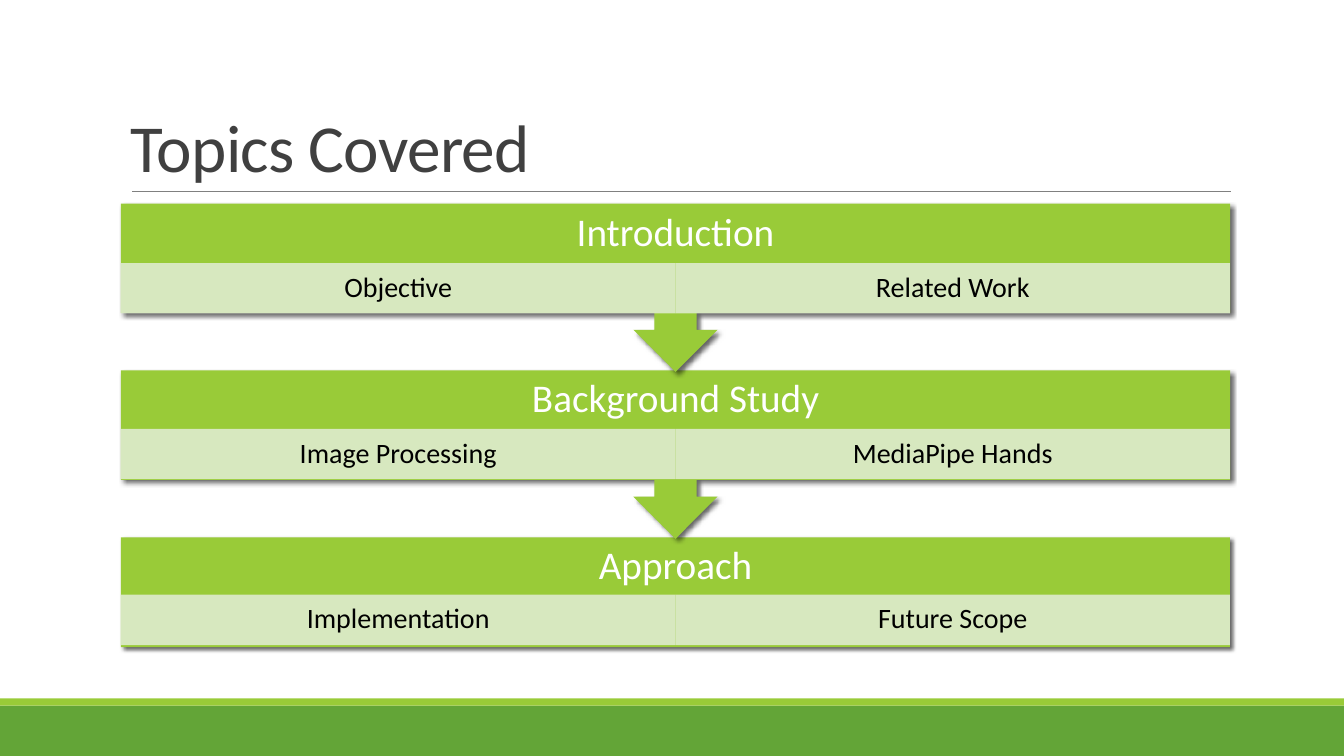
from lxml import etree
from pptx import Presentation
from pptx.dml.color import RGBColor
from pptx.enum.shapes import MSO_CONNECTOR, MSO_SHAPE
from pptx.enum.text import MSO_ANCHOR, PP_ALIGN
from pptx.oxml.ns import qn
from pptx.util import Inches, Pt

TITLE = "Topics Covered"
TOPICS = [
    ("Introduction", ["Objective", "Related Work"]),
    ("Background Study", ["Image Processing", "MediaPipe Hands"]),
    ("Approach", ["Implementation", "Future Scope"]),
]

GREEN = RGBColor(0x63, 0xA5, 0x37)
LIME = RGBColor(0x99, 0xCB, 0x38)
PALE = RGBColor(0xDE, 0xEC, 0xCE)
GREY = RGBColor(0x80, 0x80, 0x80)
DARK = RGBColor(0x40, 0x40, 0x40)
WHITE = RGBColor(0xFF, 0xFF, 0xFF)
BLACK = RGBColor(0, 0, 0)
RECT = MSO_SHAPE.RECTANGLE
CALLOUT = MSO_SHAPE.DOWN_ARROW_CALLOUT
STRAIGHT = MSO_CONNECTOR.STRAIGHT
MIDDLE, BOTTOM = MSO_ANCHOR.MIDDLE, MSO_ANCHOR.BOTTOM
CENTER, LEFT = PP_ALIGN.CENTER, PP_ALIGN.LEFT

SLIDE_W, SLIDE_H = 13.33, 7.5
MARGIN, WIDTH = 1.2, 11
FIRST_TOP, LAST_TOP = 2.02, 5.33
FIRST_TINT, LAST_TINT = 2.61, 5.9
HEAD_H, TINT_H, BLOCK_H, CALLOUT_H = 0.59, 0.5, 1.09, 1.67


def add_block(kind, x, y, w, h, color):
    sp = slide.shapes.add_shape(kind, Inches(x), Inches(y), Inches(w), Inches(h))
    sp.shadow.inherit = False
    sp.fill.solid()
    sp.fill.fore_color.rgb = color
    sp.line.fill.background()
    return sp


def set_text(sp, text, size, color, align=CENTER, anchor=MIDDLE, spacing=0.9, inset=(0.16, 0.03)):
    tf = sp.text_frame
    tf.word_wrap = True
    tf.vertical_anchor = anchor
    tf.margin_left = tf.margin_right = Inches(inset[0])
    tf.margin_top = tf.margin_bottom = Inches(inset[1])
    p = tf.paragraphs[0]
    p.alignment = align
    p.line_spacing = spacing
    r = p.add_run()
    r.text = text
    p.font.name = "Calibri"
    p.font.size = Pt(size)
    p.font.color.rgb = color
    return r


def add_label(x, y, w, h, *args, **style):
    box = slide.shapes.add_textbox(Inches(x), Inches(y), Inches(w), Inches(h))
    return set_text(box, *args, **style)


def add_alpha(fill, percent):
    color = fill.find(".//" + qn("a:srgbClr"))
    etree.SubElement(color, qn("a:alpha"), val=str(percent * 1000))


def add_shadow(sp):
    effects = sp._element.spPr.find(qn("a:effectLst"))
    shadow = etree.SubElement(effects, qn("a:outerShdw"), blurRad=str(Pt(3)), dist=str(Pt(2)),
                              dir=str(45 * 60000), algn="ctr", rotWithShape="0")
    etree.SubElement(shadow, qn("a:srgbClr"), val=str(BLACK))
    add_alpha(shadow, 60)


prs = Presentation()
prs.slide_width, prs.slide_height = Inches(SLIDE_W), Inches(SLIDE_H)
slide = prs.slides.add_slide(prs.slide_layouts[6])

add_block(RECT, 0, 7, SLIDE_W, 0.5, GREEN)
add_block(RECT, 0, 6.93, SLIDE_W, 0.07, LIME)
rule = slide.shapes.add_connector(STRAIGHT, Inches(1.31), Inches(1.9), Inches(12.21), Inches(1.9))
rule.line.color.rgb = GREY
rule.line.width = Pt(0.5)
etree.SubElement(rule._element.spPr, qn("a:effectLst"))

r = add_label(MARGIN, 0.31, WIDTH, 1.59, TITLE, 48, DARK,
              align=LEFT, anchor=BOTTOM, spacing=0.85, inset=(0.1, 0.05))
r.font._element.set("spc", "-50")

last = len(TOPICS) - 1
for i in range(last, -1, -1):
    heading, parts = TOPICS[i]
    top = FIRST_TOP + (LAST_TOP - FIRST_TOP) * i / last
    tint_top = FIRST_TINT + (LAST_TINT - FIRST_TINT) * i / last
    kind, height = (RECT, BLOCK_H) if i == last else (CALLOUT, CALLOUT_H)
    add_shadow(add_block(kind, MARGIN, top, WIDTH, height, LIME))
    add_label(MARGIN, top, WIDTH, HEAD_H, heading, 28, WHITE, inset=(0.22, 0))
    part_w = WIDTH / len(parts)
    for j, part in enumerate(parts):
        sp = add_block(RECT, MARGIN + j * part_w, tint_top, part_w, TINT_H, PALE)
        add_alpha(sp._element.spPr, 90)
        set_text(sp, part, 20, BLACK)

prs.save("out.pptx")
